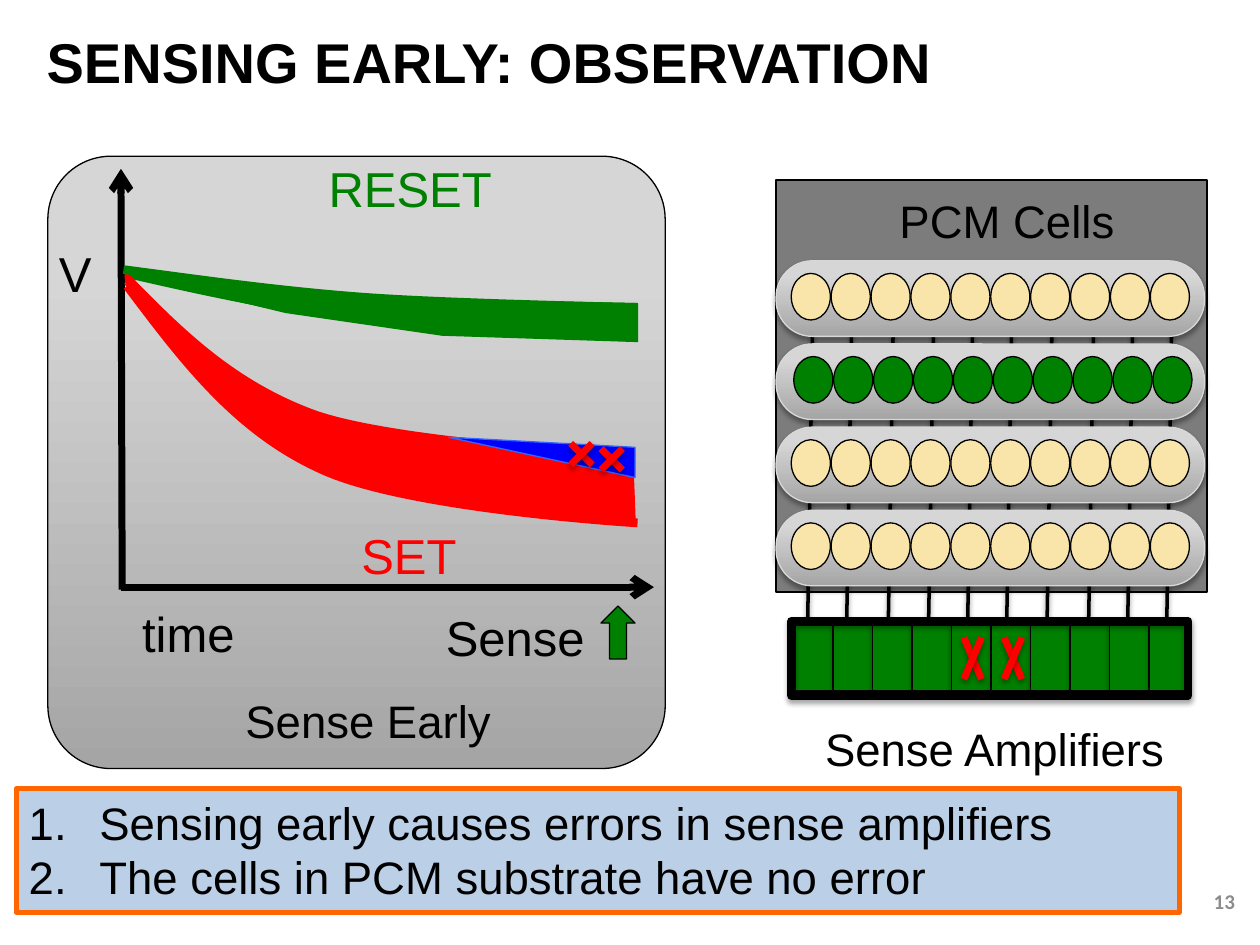
from typing import NamedTuple, Optional

from lxml.etree import SubElement
from pptx import Presentation
from pptx.dml.color import RGBColor
from pptx.enum.shapes import MSO_CONNECTOR, MSO_SHAPE
from pptx.enum.text import MSO_ANCHOR, PP_ALIGN
from pptx.oxml.ns import qn
from pptx.util import Inches, Pt

COLORS = {
    "black": "000000", "green": "008000", "red": "FF0000", "blue": "0000FF",
    "blue_edge": "3366FF", "cell": "F9E4A9", "substrate": "7C7C7C",
    "dark_gray": "A5A5A5", "light_gray": "D6D6D6", "row_edge": "D8D8D8",
    "note": "BBCFE6", "note_edge": "FF6600", "number": "8C8C8C",
}
GRADIENT = "gradient"
COLUMNS = 10
BIT_LINES = (6.45, 6.76, 7.09, 7.41, 7.72, 8.03, 8.35, 8.68, 8.99, 9.3)


class Shadow(NamedTuple):
    opacity: int
    distance: float


class Label(NamedTuple):
    text: str
    left: float
    top: float
    width: float
    height: float
    size: int
    color: str = "black"
    wrap: bool = False


class Curve(NamedTuple):
    color: str
    points: list  # start, then control, control, end for each segment


class Area(NamedTuple):
    fill: str
    edge: str
    points: list


SHAPE_SHADOW = Shadow(35, 1.8)
LINE_SHADOW = Shadow(38, 1.6)

presentation = Presentation()
presentation.slide_width, presentation.slide_height = Inches(10), Inches(7.5)
slide = presentation.slides.add_slide(presentation.slide_layouts[5])
shapes = slide.shapes


def rgb(name: str) -> RGBColor:
    return RGBColor.from_string(COLORS[name])


def spread(first: float, last: float) -> list:
    return [first + (last - first) * i / (COLUMNS - 1) for i in range(COLUMNS)]


def add_effects(shape, shadow: Optional[Shadow]) -> None:
    properties = shape._element.spPr
    effects = properties.find(qn("a:effectLst"))
    if effects is None:
        effects = SubElement(properties, qn("a:effectLst"))
    if shadow:
        outer = SubElement(effects, qn("a:outerShdw"), blurRad=str(Pt(3.1)),
                           dist=str(Pt(shadow.distance)), dir="5400000", rotWithShape="0")
        color = SubElement(outer, qn("a:srgbClr"), val=COLORS["black"])
        SubElement(color, qn("a:alpha"), val=str(shadow.opacity * 1000))


def style(shape, fill: Optional[str], edge: str, width: float = 0.75,
          shadow: Optional[Shadow] = None) -> None:
    if fill is None:
        shape.fill.background()
    elif fill == GRADIENT:
        shape.fill.gradient()
        shape.fill.gradient_angle = 90
        stops = zip(shape.fill.gradient_stops, ("dark_gray", "light_gray"), (0, 0.8))
        for stop, color, position in stops:
            stop.color.rgb = rgb(color)
            stop.position = position
    else:
        shape.fill.solid()
        shape.fill.fore_color.rgb = rgb(fill)
    shape.line.color.rgb = rgb(edge)
    shape.line.width = Pt(width)
    shape.shadow.inherit = False
    add_effects(shape, shadow)


def add_box(kind, left: float, top: float, width: float, height: float,
            fill: Optional[str], edge: str = "black", line_width: float = 0.75,
            shadow: Optional[Shadow] = None, corner: Optional[float] = None) -> None:
    shape = shapes.add_shape(kind, Inches(left), Inches(top), Inches(width), Inches(height))
    if corner is not None:
        shape.adjustments[0] = corner
    style(shape, fill, edge, line_width, shadow)


def add_line(start: tuple, end: tuple, color: str, width: float,
             shadow: Optional[Shadow] = None, arrow: bool = False) -> None:
    line = shapes.add_connector(MSO_CONNECTOR.STRAIGHT, *map(Inches, start + end))
    line.line.color.rgb = rgb(color)
    line.line.width = Pt(width)
    if arrow:
        SubElement(line.line._get_or_add_ln(), qn("a:tailEnd"), type="arrow")
    add_effects(line, shadow)


def add_outline(points: list, close: bool):
    corners = [(Inches(x), Inches(y)) for x, y in points]
    builder = shapes.build_freeform(*corners[0])
    builder.add_line_segments(corners[1:], close=close)
    return builder.convert_to_shape()


def add_curve(curve: Curve) -> None:
    shape = add_outline(curve.points, close=False)
    # Join every three line segments into one cubic segment
    segments = list(shape._element.iter(qn("a:lnTo")))
    outline = segments[0].getparent()
    for i in range(0, len(segments), 3):
        cubic = SubElement(outline, qn("a:cubicBezTo"))
        for segment in segments[i:i + 3]:
            cubic.append(segment[0])
            outline.remove(segment)
    style(shape, None, curve.color, 5)


def add_area(area: Area) -> None:
    style(add_outline(area.points, close=True), area.fill, area.edge)


def format_font(paragraph, size: int, color: str, name: str = "Arial", bold: bool = False) -> None:
    for run in paragraph.runs:
        run.font.size, run.font.name, run.font.bold = Pt(size), name, bold
        run.font.color.rgb = rgb(color)


def add_label(label: Label):
    box = shapes.add_textbox(*map(Inches, label[1:5]))
    box.text_frame.word_wrap = label.wrap
    box.text_frame.text = label.text
    for paragraph in box.text_frame.paragraphs:
        format_font(paragraph, label.size, label.color)
    return box


def add_cross(left: float, top: float, width: float, height: float) -> None:
    right, bottom = left + width, top + height
    add_line((left, top), (right, bottom), "red", 4, LINE_SHADOW)
    add_line((right, top), (left, bottom), "red", 4, LINE_SHADOW)


# Title and slide number
title = shapes.title
title.left, title.top, title.width, title.height = map(Inches, (0.27, 0.22, 9.17, 0.53))
title.text_frame.text = "SENSING EARLY: OBSERVATION"
title.text_frame.vertical_anchor = MSO_ANCHOR.MIDDLE
title.text_frame.paragraphs[0].alignment = PP_ALIGN.LEFT
format_font(title.text_frame.paragraphs[0], 32, "black", bold=True)

number = add_label(Label("13", 7.57, 6.95, 2.33, 0.4, 12, "number", True))
number.text_frame.vertical_anchor = MSO_ANCHOR.MIDDLE
number.text_frame.paragraphs[0].alignment = PP_ALIGN.RIGHT
format_font(number.text_frame.paragraphs[0], 12, "number", "Calibri", True)

# Chart panel and numbered conclusions
add_box(MSO_SHAPE.ROUNDED_RECTANGLE, 0.38, 1.24, 4.9, 4.86, GRADIENT, corner=0.103)
note = add_label(Label("Sensing early causes errors in sense amplifiers\n"
                       "The cells in PCM substrate have no error",
                       0.13, 6.26, 9.23, 0.98, 26, wrap=True))
style(note, "note", "note_edge", 3)
for paragraph in note.text_frame.paragraphs:
    properties = paragraph._p.get_or_add_pPr()
    properties.set("marL", str(Inches(0.56)))
    properties.set("indent", str(Inches(-0.56)))
    SubElement(properties, qn("a:buFont"), typeface="+mj-lt")
    SubElement(properties, qn("a:buAutoNum"), type="arabicPeriod")

# Voltage chart: axes, curves and the bands between them
CURVES = [
    Curve("green", [(0.96, 2.16), (1.57, 2.3), (2.19, 2.44), (2.87, 2.52),
                    (3.55, 2.6), (5.04, 2.65), (5.04, 2.65)]),
    Curve("red", [(0.96, 2.16), (1.39, 2.6), (1.81, 3.04), (2.49, 3.29),
                  (3.17, 3.53), (5.04, 3.62), (5.04, 3.62)]),
    Curve("red", [(1.01, 2.27), (1.44, 2.84), (1.86, 3.41), (2.54, 3.72),
                  (3.21, 4.04), (5.06, 4.15), (5.06, 4.15)]),
    Curve("green", [(0.98, 2.14), (1.59, 2.22), (2.21, 2.31), (2.89, 2.36),
                    (3.57, 2.41), (5.06, 2.44), (5.06, 2.44)]),
]
AREAS = [
    Area("red", "red", [(0.99, 2.25), (1.86, 3.28), (2.56, 3.74), (3.65, 3.99), (5.04, 4.13),
                        (5.02, 3.61), (3.6, 3.53), (2.62, 3.34), (2.1, 3.11), (1.47, 2.67)]),
    Area("green", "green", [(1.06, 2.19), (2.27, 2.48), (3.51, 2.66), (5.06, 2.71),
                            (5.06, 2.41), (3.02, 2.37), (2.39, 2.31), (1.14, 2.21)]),
    Area("blue", "blue_edge", [(3.56, 3.47), (5.04, 3.79), (5.04, 3.55)]),
]
for curve in CURVES[:2]:
    add_curve(curve)
add_line((0.97, 4.68), (0.96, 1.34), "black", 4, arrow=True)
add_line((0.96, 4.66), (5.19, 4.66), "black", 4, arrow=True)
for curve in CURVES[2:]:
    add_curve(curve)
for area in AREAS:
    add_area(area)
add_box(MSO_SHAPE.UP_ARROW, 4.77, 4.81, 0.27, 0.42, "green")

# Memory array: substrate, bit lines and rows of cells
add_box(MSO_SHAPE.RECTANGLE, 6.16, 1.43, 3.42, 3.27, "substrate")
for x in BIT_LINES:
    add_line((x, 2.54), (x - 0.04, 4.95), "black", 2, LINE_SHADOW)
for row, (color, shift) in enumerate([("cell", 0), ("green", 0.02), ("cell", 0), ("cell", 0)]):
    top = 2.07 + 0.66 * row
    add_box(MSO_SHAPE.ROUNDED_RECTANGLE, 6.16, top, 3.4, 0.6, GRADIENT, "row_edge",
            shadow=SHAPE_SHADOW, corner=0.479)
    for x in spread(6.28, 9.13):
        add_box(MSO_SHAPE.OVAL, x + shift, top + 0.1, 0.31, 0.37, color)

# Sense amplifiers
for x in spread(6.3, 9.12):
    add_box(MSO_SHAPE.RECTANGLE, x, 4.95, 0.31, 0.53, "green", shadow=SHAPE_SHADOW)
add_box(MSO_SHAPE.RECTANGLE, 6.28, 4.93, 3.15, 0.59, None, line_width=5, shadow=SHAPE_SHADOW)

# Error marks
for x in (7.97, 7.65):
    add_cross(x, 5.06, 0.14, 0.33)
for x, y in ((4.53, 3.52), (4.77, 3.56)):
    add_cross(x, y, 0.17, 0.17)

# Labels
for label in [
    Label("V", 0.37, 1.88, 0.96, 0.58, 28, wrap=True),
    Label("time", 1.03, 4.74, 0.94, 0.58, 28),
    Label("SET", 2.77, 4.12, 0.96, 0.58, 28, "red", True),
    Label("RESET", 2.51, 1.21, 1.5, 0.58, 28, "green", True),
    Label("Sense", 3.44, 4.77, 1.32, 0.57, 28),
    Label("Sense Early", 1.85, 5.45, 2.17, 0.54, 26),
    Label("PCM Cells", 7.04, 1.48, 1.92, 0.54, 26),
    Label("Sense Amplifiers", 6.45, 5.67, 2.92, 0.54, 26),
]:
    add_label(label)

presentation.save("out.pptx")
